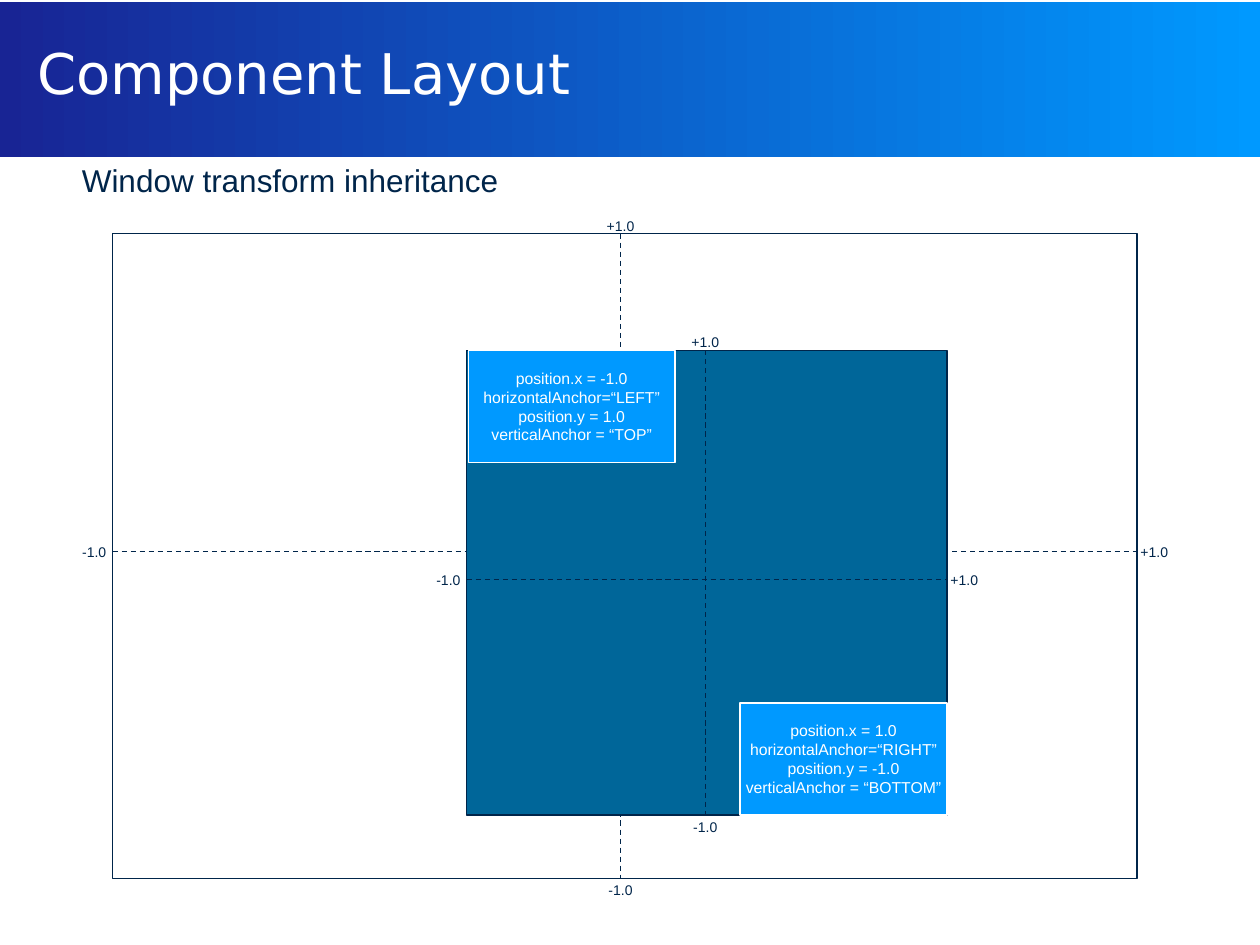
from dataclasses import dataclass

from lxml.etree import SubElement
from pptx import Presentation
from pptx.dml.color import RGBColor as RGB
from pptx.enum.dml import MSO_LINE
from pptx.enum.shapes import MSO_CONNECTOR, MSO_SHAPE
from pptx.enum.text import MSO_ANCHOR, MSO_AUTO_SIZE, PP_ALIGN
from pptx.oxml.ns import qn
from pptx.util import Cm, Pt


@dataclass(frozen=True)
class Theme:
    navy: RGB = RGB.from_string("00254A")
    deep: RGB = RGB.from_string("182494")
    bright: RGB = RGB.from_string("0099FF")
    teal: RGB = RGB.from_string("006699")
    white: RGB = RGB.from_string("FFFFFF")
    title_font: str = "DejaVu Sans"
    body_font: str = "Arial"
    title: Pt = Pt(32)
    subtitle: Pt = Pt(18)
    note: Pt = Pt(9)
    label: Pt = Pt(8)
    line: Pt = Pt(0.75)


@dataclass(frozen=True)
class Window:
    """A window's frame and the crossing point of its axes, in cm."""
    left: float
    top: float
    width: float
    height: float
    axis_x: float
    axis_y: float

    @property
    def right(self):
        return self.left + self.width

    @property
    def bottom(self):
        return self.top + self.height


THEME = Theme()
OUTER = Window(2.27, 4.71, 20.65, 13, 12.51, 11.12)
INNER = Window(9.41, 7.06, 9.68, 9.37, 14.22, 11.68)
LABEL_W, LABEL_H = 1.2, 0.61
NOTE_W, NOTE_H = 4.17, 2.26


def write(tf, lines, size, color, font=THEME.body_font, align=PP_ALIGN.LEFT):
    """Put lines into one paragraph, separated by line breaks."""
    p = tf.paragraphs[0]
    p.alignment = align
    for i, line in enumerate(lines):
        if i:
            p.add_line_break()
        r = p.add_run()
        r.text = line
        r.font.size, r.font.name = size, font
        r.font.color.rgb = color


def add_text(slide, box, text, size, color, **style):
    """Add a one-line text box of fixed size."""
    tf = slide.shapes.add_textbox(*map(Cm, box)).text_frame
    tf.word_wrap = True
    tf.auto_size = MSO_AUTO_SIZE.NONE
    write(tf, [text], size, color, **style)
    return tf


def add_rect(slide, box, fill=None, line=None):
    sp = slide.shapes.add_shape(MSO_SHAPE.RECTANGLE, *map(Cm, box))
    sp.shadow.inherit = False
    if fill is None:
        sp.fill.background()
    else:
        sp.fill.solid()
        sp.fill.fore_color.rgb = fill
    if line is None:
        sp.line.fill.background()
    else:
        sp.line.color.rgb = line
        sp.line.width = THEME.line
    return sp


def add_axis(slide, x1, y1, x2, y2):
    cxn = slide.shapes.add_connector(
        MSO_CONNECTOR.STRAIGHT, *map(Cm, (x1, y1, x2, y2)))
    cxn.line.color.rgb = THEME.navy
    cxn.line.width = THEME.line
    cxn.line.dash_style = MSO_LINE.DASH
    SubElement(cxn._element.spPr, qn("a:effectLst"))


def add_label(slide, text, x, y):
    """Add an axis-end label centred on a point."""
    box = (x - LABEL_W / 2, y - LABEL_H / 2, LABEL_W, LABEL_H)
    add_text(slide, box, text, THEME.label, THEME.navy, align=PP_ALIGN.CENTER)


def add_window(slide, win, fill=None):
    """Add a frame with dashed axes and a label at each axis end."""
    add_rect(slide, (win.left, win.top, win.width, win.height), fill, THEME.navy)
    add_axis(slide, win.axis_x, win.top, win.axis_x, win.bottom)
    add_axis(slide, win.left, win.axis_y, win.right, win.axis_y)
    add_label(slide, "-1.0", win.left - 0.37, win.axis_y + 0.02)
    add_label(slide, "+1.0", win.right + 0.35, win.axis_y + 0.02)
    add_label(slide, "+1.0", win.axis_x, win.top - 0.15)
    add_label(slide, "-1.0", win.axis_x, win.bottom + 0.25)


def add_note(slide, left, top, lines):
    sp = add_rect(slide, (left, top, NOTE_W, NOTE_H), THEME.bright, THEME.white)
    tf = sp.text_frame
    tf.word_wrap = False
    tf.vertical_anchor = MSO_ANCHOR.MIDDLE
    write(tf, lines, THEME.note, THEME.white, align=PP_ALIGN.CENTER)


def add_header(slide):
    fill = add_rect(slide, (0, 0.04, 25.4, 3.12)).fill
    fill.gradient()
    fill.gradient_angle = 0
    for stop, color in zip(fill.gradient_stops, (THEME.deep, THEME.bright)):
        stop.color.rgb = color
    tf = add_text(slide, (0.5, 0, 24.3, 2.92), "Component Layout",
                  THEME.title, THEME.white, font=THEME.title_font)
    tf.vertical_anchor = MSO_ANCHOR.MIDDLE
    add_text(slide, (1.4, 3.12, 9.1, 1.02), "Window transform inheritance",
             THEME.subtitle, THEME.navy)


def main():
    prs = Presentation()
    prs.slide_width, prs.slide_height = Cm(25.4), Cm(19.05)
    slide = prs.slides.add_slide(prs.slide_layouts[6])
    add_header(slide)
    add_window(slide, OUTER)
    add_window(slide, INNER, THEME.teal)
    add_note(slide, INNER.left + 0.03, INNER.top,
             ["position.x = -1.0", "horizontalAnchor=“LEFT”",
              "position.y = 1.0", "verticalAnchor = “TOP”"])
    add_note(slide, INNER.right - NOTE_W, INNER.bottom - NOTE_H,
             ["position.x = 1.0", "horizontalAnchor=“RIGHT”",
              "position.y = -1.0", "verticalAnchor = “BOTTOM”"])
    prs.save("out.pptx")


if __name__ == "__main__":
    main()
